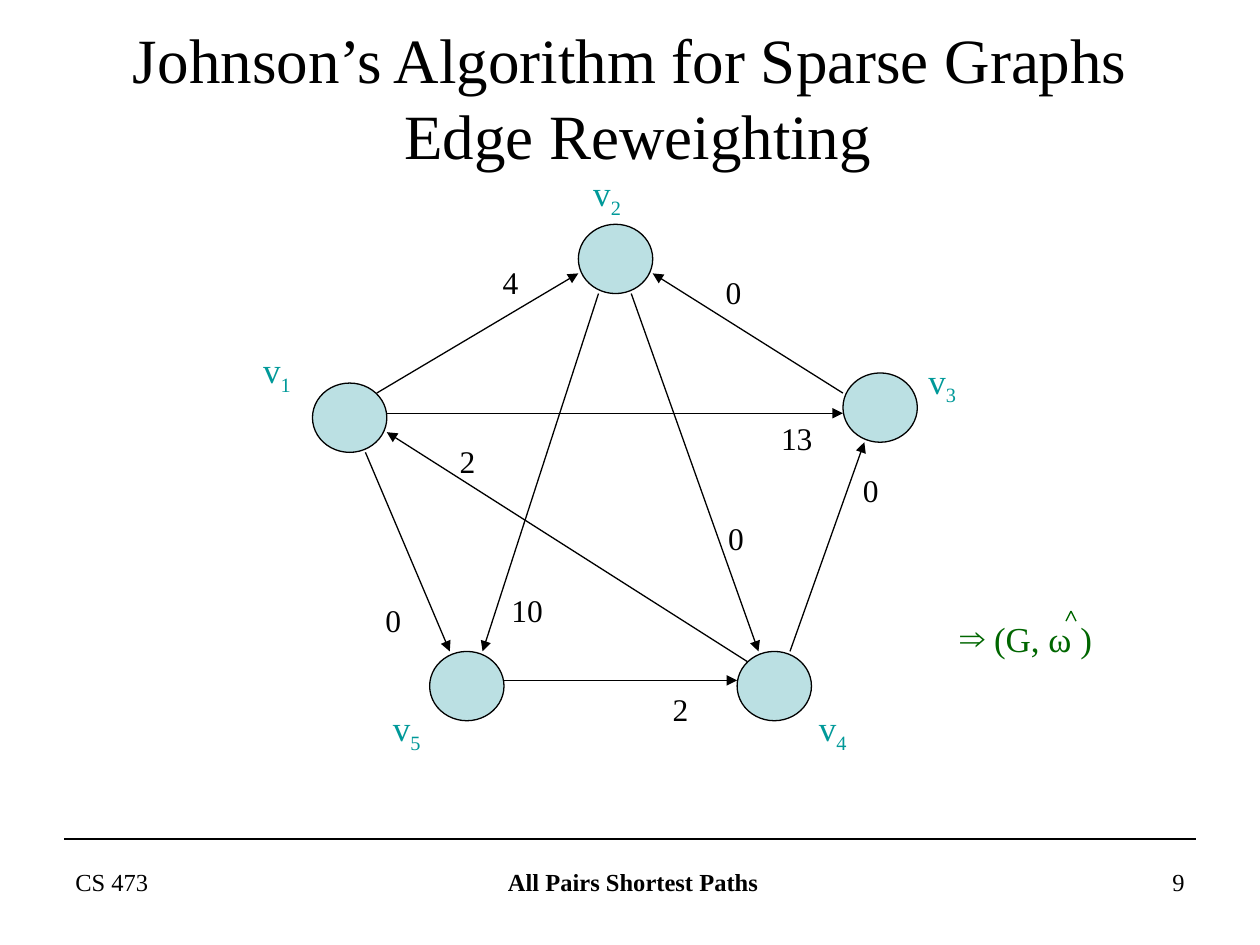
from lxml.etree import SubElement
from pptx import Presentation
from pptx.dml.color import RGBColor
from pptx.enum.shapes import MSO_CONNECTOR, MSO_SHAPE
from pptx.enum.text import MSO_ANCHOR, MSO_AUTO_SIZE, PP_ALIGN
from pptx.oxml.ns import qn
from pptx.util import Inches, Pt

FONT = "Times New Roman"
BLACK, TEAL, GREEN, PALE_BLUE = "000000", "009999", "006600", "BBE0E3"
NODE_W, NODE_H = 0.59, 0.55

# vertex: node left and top, label left and top, within the graph
VERTICES = {
    1: ((0.48, 1.74), (-0.01, 1.42)),
    2: ((2.59, 0.48), (2.61, 0.01)),
    3: ((4.69, 1.66), (5.27, 1.5)),
    4: ((3.85, 3.87), (4.4, 4.26)),
    5: ((1.41, 3.87), (1.02, 4.26)),
}

# from, offset in that node, to, offset in that node, weight, weight's place
EDGES = [
    (1, (0.51, 0.08), 2, (0, 0.39), "4", (1.89, 0.74)),
    (3, (0, 0.16), 2, (NODE_W, 0.39), "0", (3.66, 0.82)),
    (4, (0.42, 0), 3, (0.17, NODE_H), "0", (4.75, 2.39)),
    (5, (NODE_W, 0.23), 4, (0, 0.23), "2", (3.24, 4.13)),
    (1, (0.42, NODE_H), 5, (0.16, 0), "0", (0.96, 3.42)),
    (2, (0.16, NODE_H), 5, (0.42, 0), "10", (1.96, 3.34)),
    (2, (0.42, NODE_H), 4, (0.17, 0), "0", (3.68, 2.77)),
    (4, (0.08, 0.08), 1, (NODE_W, 0.39), "2", (1.55, 2.16)),
    (1, (NODE_W, 0.24), 3, (0, 0.32), "13", (4.1, 1.98)),
]


def color(hex_code):
    return RGBColor.from_string(hex_code)


def format_runs(paragraph, size, hex_code, bold=False):
    for run in paragraph.runs:
        run.font.name = FONT
        run.font.size = Pt(size)
        run.font.bold = bold
        run.font.color.rgb = color(hex_code)


def add_text(slide, text, left, top, width, height, size, hex_code=BLACK,
             align=PP_ALIGN.LEFT, bold=False, wrap=False):
    box = slide.shapes.add_textbox(
        Inches(left), Inches(top), Inches(width), Inches(height))
    box.text_frame.word_wrap = wrap
    paragraph = box.text_frame.paragraphs[0]
    paragraph.text = text
    paragraph.alignment = align
    format_runs(paragraph, size, hex_code, bold)
    return paragraph


def add_line(slide, start, end, hex_code=BLACK, arrow=False):
    line = slide.shapes.add_connector(
        MSO_CONNECTOR.STRAIGHT, *(Inches(v) for v in (*start, *end)))
    line.line.color.rgb = color(hex_code)
    line.line.width = Pt(0.75)
    if arrow:
        SubElement(line.line._get_or_add_ln(), qn("a:tailEnd"), type="triangle")
    SubElement(line._element.spPr, qn("a:effectLst"))


def add_title(slide, left, top, width, height):
    title = slide.shapes.title
    title.left, title.top = Inches(left), Inches(top)
    title.width, title.height = Inches(width), Inches(height)
    frame = title.text_frame
    frame.text = "Johnson’s Algorithm for Sparse Graphs\v Edge Reweighting"
    frame.auto_size = MSO_AUTO_SIZE.NONE
    frame.vertical_anchor = MSO_ANCHOR.MIDDLE
    frame.paragraphs[0].alignment = PP_ALIGN.CENTER
    format_runs(frame.paragraphs[0], 36, BLACK)


def add_graph(slide, left, top):
    def place(point, offset=(0, 0)):
        return left + point[0] + offset[0], top + point[1] + offset[1]

    for number, (corner, label_corner) in VERTICES.items():
        x, y = place(corner)
        node = slide.shapes.add_shape(
            MSO_SHAPE.OVAL, Inches(x), Inches(y), Inches(NODE_W), Inches(NODE_H))
        node.shadow.inherit = False
        node.fill.solid()
        node.fill.fore_color.rgb = color(PALE_BLUE)
        node.line.color.rgb = color(BLACK)
        node.line.width = Pt(0.75)

        label = add_text(slide, "v", *place(label_corner), 0.42, 0.48, 20, TEAL)
        subscript = label.add_run()
        subscript.text = str(number)
        format_runs(label, 20, TEAL)
        subscript.font._element.set("baseline", "-25000")

    for source, exit_at, target, entry_at, weight, weight_corner in EDGES:
        add_line(slide, place(VERTICES[source][0], exit_at),
                 place(VERTICES[target][0], entry_at), arrow=True)
        add_text(slide, weight, *place(weight_corner),
                 0.19 + 0.13 * len(weight), 0.4, 18)


def add_result(slide, left, top, width, height):
    """Reweighted graph, with a hat drawn over the omega."""
    result = add_text(slide, " (G, ω )", left, top, width, height, 20, GREEN,
                      wrap=True)
    properties = result._p.get_or_add_pPr()
    properties.set("marL", "0")
    properties.set("indent", "0")
    bullet_color = SubElement(properties, qn("a:buClr"))
    SubElement(bullet_color, qn("a:srgbClr"), val=GREEN)
    SubElement(properties, qn("a:buFont"), typeface=FONT)
    SubElement(properties, qn("a:buChar"), char="⇒")
    peak = left + 0.98
    for side in (-0.04, 0.04):
        add_line(slide, (peak, top), (peak + side, top + 0.08), GREEN)


def add_footer(slide, left, top, width, height):
    right = left + width
    add_line(slide, (left + 0.01, top), (right - 0.01, top))
    side_w, middle_w = 2.33, 3.17
    text_top, text_h = top + 0.17, height - 0.17
    parts = [
        ("CS 473", left, side_w, PP_ALIGN.LEFT, False),
        ("All Pairs Shortest Paths", left + 2.94, middle_w, PP_ALIGN.CENTER, True),
        ("9", right - side_w, side_w, PP_ALIGN.RIGHT, False),
    ]
    for text, x, part_w, align, bold in parts:
        add_text(slide, text, x, text_top, part_w, text_h, 14,
                 align=align, bold=bold, wrap=True)


def main():
    deck = Presentation()
    deck.slide_width, deck.slide_height = Inches(10), Inches(7.5)
    slide = deck.slides.add_slide(deck.slide_layouts[5])
    add_title(slide, 0.5, 0.46, 9, 0.61)
    add_graph(slide, 2, 1.3)
    add_result(slide, 7.52, 4.85, 1.71, 0.44)
    add_footer(slide, 0.5, 6.66, 9, 0.69)
    deck.save("out.pptx")


if __name__ == "__main__":
    main()
